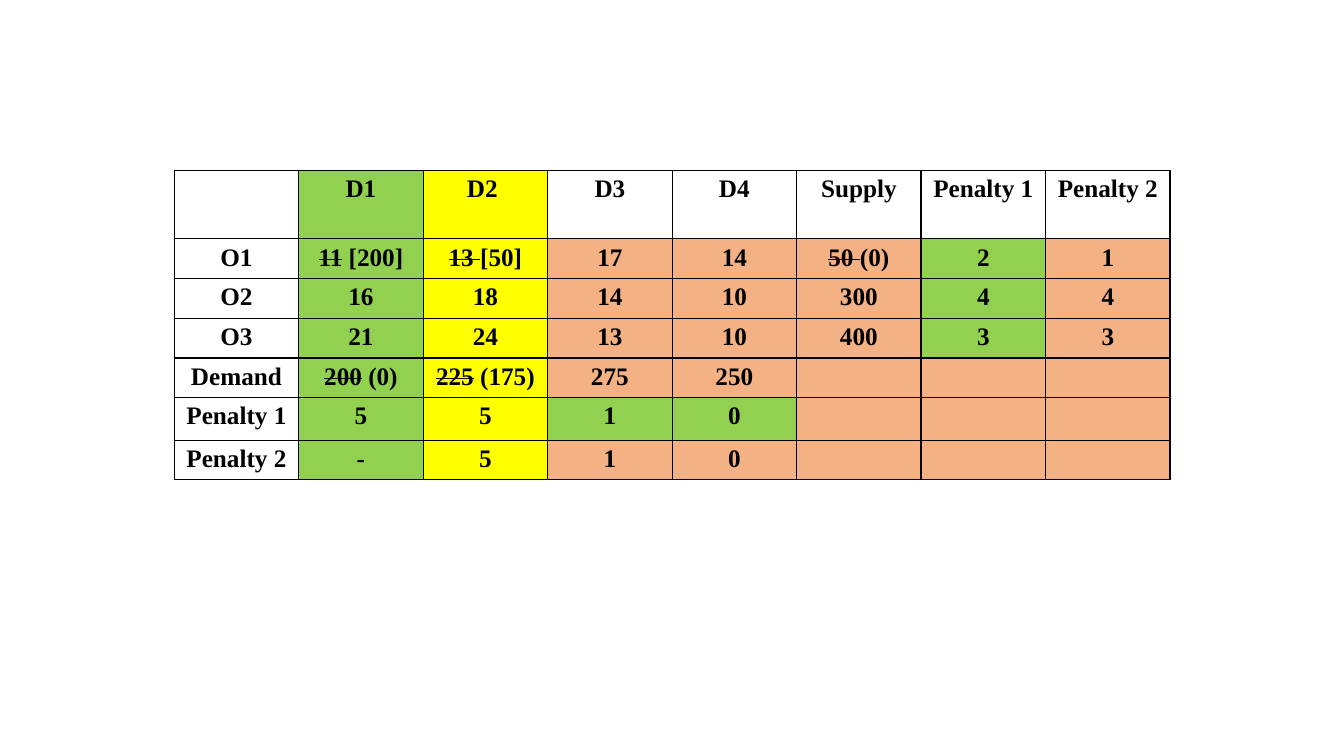
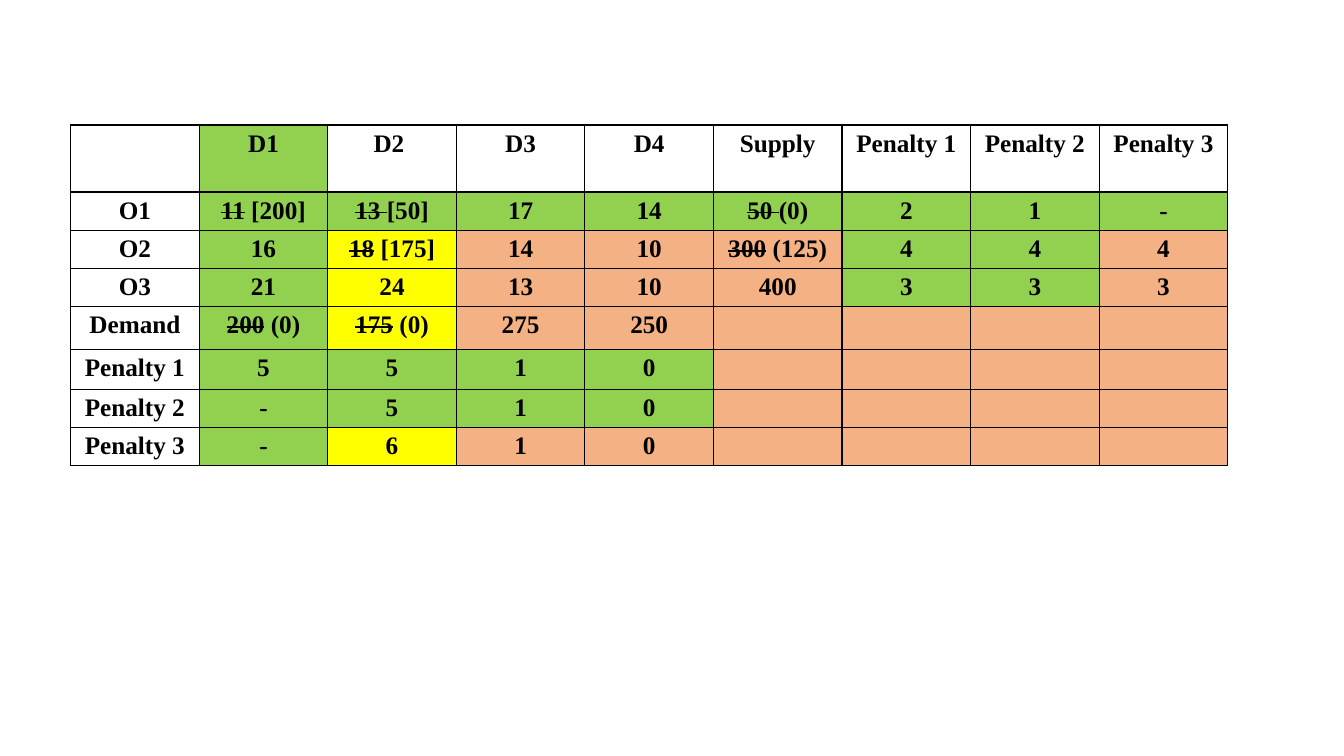
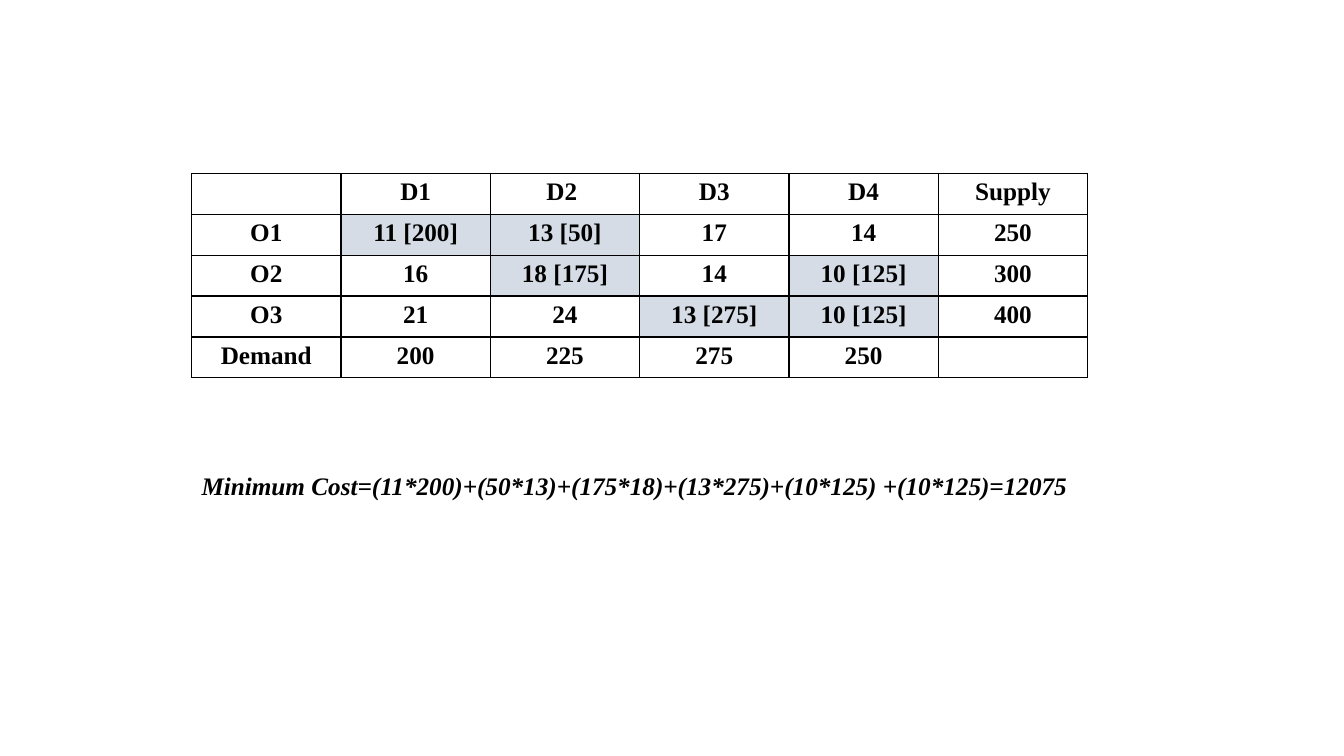
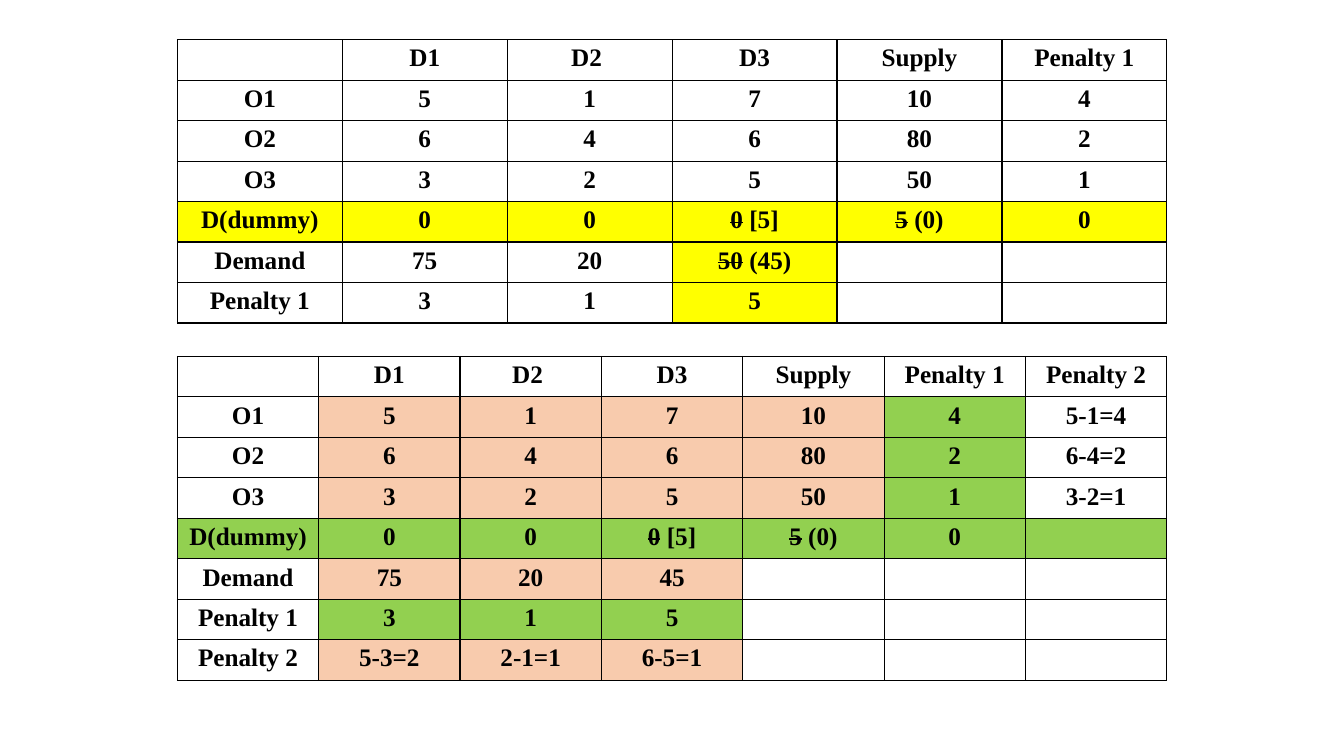
from lxml.etree import SubElement
from pptx import Presentation
from pptx.dml.color import RGBColor
from pptx.enum.text import PP_ALIGN as Align
from pptx.oxml.ns import qn
from pptx.util import Cm, Pt

FONT = "Times New Roman"
TEXT_SIZE = 18
INK = "000000"
FILLS = {"G": "92D050", "Y": "FFFF00", "O": "F4B183", "P": "F8CBAD", "B": "D6DCE5"}

SECOND_STEP = [
    ("|D1|D2 |D3|D4|Supply|Penalty 1|Penalty 2", ".GY....."),
    ("O1|~11~ [200]|~13 ~[50]|17|14|~50 ~(0)|2|1", ".GYOOOGO"),
    ("O2|16|18|14|10|300|4|4", ".GYOOOGO"),
    ("O3|21|24|13|10|400|3|3", ".GYOOOGO"),
    ("Demand|~200~ (0)|~225~ (175)|275|250|||", ".GYOOOOO"),
    ("Penalty 1|5|5|1|0|||", ".GYGGOOO"),
    ("Penalty 2|-|5|1|0|||", ".GYOOOOO"),
]
THIRD_STEP = [
    ("|D1|D2 |D3|D4|Supply|Penalty 1|Penalty 2|Penalty 3", ".G......."),
    ("O1|~11~ [200]|~13 ~[50]|17|14|~50 ~(0)|2|1|-", ".GGGGGGGG"),
    ("O2|16|~18~ [175]|14|10|~300~ (125)|4|4|4", ".GYOOOGGO"),
    ("O3|21|24|13|10|400|3|3|3", ".GYOOOGGO"),
    ("Demand|~200~ (0)|~175~ (0)|275|250||||", ".GYOOOOOO"),
    ("Penalty 1|5|5|1|0||||", ".GGGGOOOO"),
    ("Penalty 2|-|5|1|0||||", ".GGGGOOOO"),
    ("Penalty 3|-|6|1|0||||", ".GYOOOOOO"),
]
ALLOCATION = [
    ("|D1|D2 |D3|D4|Supply", "......"),
    ("O1|11 [200]|13 [50]|17|14|250", ".BB..."),
    ("O2|16|18 [175]|14|10 [125]|300", "..B.B."),
    ("O3|21|24|13 [275]|10 [125]|400", "...BB."),
    ("Demand|200|225|275|250|", "......"),
]
DUMMY_FIRST_STEP = [
    ("|D1|D2 |D3|Supply|Penalty 1", "......"),
    ("O1|5|1|7|10|4", "......"),
    ("O2|6|4|6|80|2", "......"),
    ("O3|3|2|5|50|1", "......"),
    ("D(dummy)|0|0|~0~ [5]|~5~ (0)|0", "YYYYYY"),
    ("Demand|75|20|~50~ (45)||", "...Y.."),
    ("Penalty 1|3|1|5||", "...Y.."),
]
DUMMY_SECOND_STEP = [
    ("|D1|D2 |D3|Supply|Penalty 1|Penalty 2", "......."),
    ("O1|5|1|7|10|4|5-1=4", ".PPPPG."),
    ("O2|6|4|6|80|2|6-4=2", ".PPPPG."),
    ("O3|3|2|5|50|1|3-2=1", ".PPPPG."),
    ("D(dummy)|0|0|~0~ [5]|~5~ (0)|0|", "GGGGGGG"),
    ("Demand|75|20|45|||", ".PPP..."),
    ("Penalty 1|3|1|5|||", ".GGG..."),
    ("Penalty 2|5-3=2|2-1=1|6-5=1|||", ".PPP..."),
]


def color(value):
    """Turn a hex string into a colour."""
    return RGBColor.from_string(value)


def write(para, text, align=Align.LEFT, italic=False, strike=False):
    """Add one formatted bold run to a paragraph."""
    para.alignment = align
    span = para.add_run()
    span.text = text
    font = span.font
    font.name, font.size = FONT, Pt(TEXT_SIZE)
    font.bold, font.italic = True, italic
    font.color.rgb = color(INK)
    if strike:
        span._r.get_or_add_rPr().set("strike", "sngStrike")


def outline_cell(cell):
    """Draw a thin dark line on all four sides of a cell."""
    properties = cell._tc.get_or_add_tcPr()
    for side in ("a:lnL", "a:lnR", "a:lnT", "a:lnB"):
        line = SubElement(properties, qn(side), w=str(Pt(1)))
        solid = SubElement(line, qn("a:solidFill"))
        SubElement(solid, qn("a:srgbClr"), val=INK)


def fill_cell(cell, text, fill_key):
    """Format one cell and write its text, striking the parts between tildes."""
    outline_cell(cell)
    cell.margin_left = cell.margin_right = Cm(0.15)
    cell.margin_top, cell.margin_bottom = Cm(0.12), Cm(0.08)
    if fill_key in FILLS:
        cell.fill.solid()
        cell.fill.fore_color.rgb = color(FILLS[fill_key])
    else:
        cell.fill.background()
    para = cell.text_frame.paragraphs[0]
    for index, part in enumerate(text.split("~")):
        if part:
            write(para, part, align=Align.CENTER, strike=index % 2 == 1)
    if not text:
        SubElement(para._p, qn("a:endParaRPr"), sz="1400")


def add_grid(page, rows, left, top, width, heights):
    """Place a cost table with equal columns in the given box."""
    columns = len(rows[0][1])
    frame = page.shapes.add_table(
        len(rows), columns, Cm(left), Cm(top), Cm(width), Cm(sum(heights)))
    table = frame.table
    table.first_row = table.horz_banding = False
    for column in table.columns:
        column.width = Cm(width / columns)
    for row, height, (texts, fill_keys) in zip(table.rows, heights, rows):
        row.height = Cm(height)
        for cell, text, fill_key in zip(row.cells, texts.split("|"), fill_keys):
            fill_cell(cell, text, fill_key)


def add_result(page, text, left, top, width, height):
    """Place the line with the total cost."""
    box = page.shapes.add_textbox(Cm(left), Cm(top), Cm(width), Cm(height))
    box.text_frame.word_wrap = True
    write(box.text_frame.paragraphs[0], text, italic=True)


def main():
    """Build the four slides and save the deck."""
    deck = Presentation()
    deck.slide_width, deck.slide_height = Cm(33.87), Cm(19.05)
    blank = deck.slide_layouts[6]
    second, third, result, dummy = [deck.slides.add_slide(blank) for _ in range(4)]

    add_grid(second, SECOND_STEP, 4.39, 4.29, 25.1, [1.73] + [1] * 4 + [1.07, 1])
    add_grid(third, THIRD_STEP, 1.78, 3.15, 29.16,
             [1.69] + [0.96] * 3 + [1.08, 1.01] + [0.96] * 2)

    left, width = 4.83, 22.58
    add_grid(result, ALLOCATION, left, 4.37, width, [1.03] * 5)
    add_result(
        result,
        "Minimum Cost=(11*200)+(50*13)+(175*18)+(13*275)+(10*125) +(10*125)=12075",
        left, 11.73, width, 1.02)

    for rows, top in ((DUMMY_FIRST_STEP, 1), (DUMMY_SECOND_STEP, 8.98)):
        add_grid(dummy, rows, 4.47, top, 24.94, [1.02] * len(rows))

    deck.save("out.pptx")


if __name__ == "__main__":
    main()
